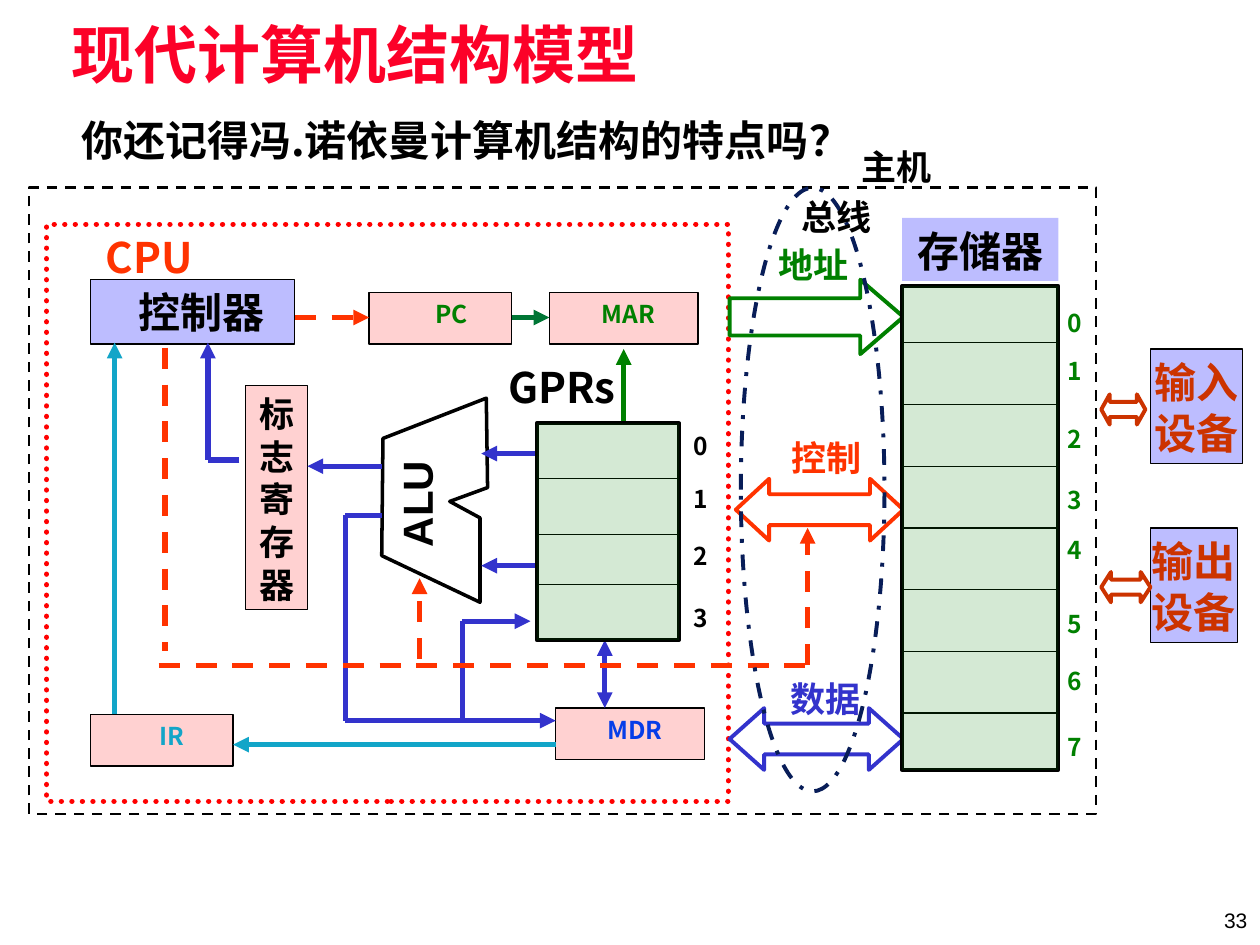
from lxml import etree
from pptx import Presentation
from pptx.dml.color import RGBColor
from pptx.enum.dml import MSO_LINE
from pptx.enum.shapes import MSO_CONNECTOR, MSO_SHAPE
from pptx.enum.text import MSO_ANCHOR, PP_ALIGN
from pptx.oxml.ns import qn
from pptx.util import Inches, Pt

RECTANGLE, ELLIPSE = MSO_SHAPE.RECTANGLE, MSO_SHAPE.OVAL
RIGHT_ARROW, DOUBLE_ARROW = MSO_SHAPE.RIGHT_ARROW, MSO_SHAPE.LEFT_RIGHT_ARROW
STRAIGHT = MSO_CONNECTOR.STRAIGHT
DASH, DOTS, DASH_DOT = MSO_LINE.DASH, MSO_LINE.ROUND_DOT, MSO_LINE.DASH_DOT
LEFT, CENTER, RIGHT = PP_ALIGN.LEFT, PP_ALIGN.CENTER, PP_ALIGN.RIGHT
TOP, MIDDLE = MSO_ANCHOR.TOP, MSO_ANCHOR.MIDDLE

CJK_FONT = "Noto Sans CJK SC"
BLACK, WHITE, ORANGE, GREEN = "000000", "FFFFFF", "FF3300", "008000"
BLUE, CYAN, RUST = "3333CC", "12A5C8", "CC3300"
LILAC_TINT, PINK_TINT, GREEN_TINT = ("0000FF", 26), ("FF0000", 18), (GREEN, 17)


def color(value):
    return RGBColor.from_string(value)


def set_values(target, values):
    for name, value in values.items():
        setattr(target, name, value)


class Diagram:
    """Holds the shared text style and the slide being drawn."""

    font = {"name": CJK_FONT, "bold": True}
    line_height = 1.22

    def __init__(self, slide):
        self.slide = slide

    def fill_text(self, shape, text, size, text_color=BLACK, align=CENTER, anchor=TOP,
                  left=0, **font):
        frame = shape.text_frame
        set_values(frame, {
            "word_wrap": True, "vertical_anchor": anchor, "margin_left": Inches(left),
            "margin_right": 0, "margin_top": Inches(0.05), "margin_bottom": Inches(0.05)})
        for index, words in enumerate(text.split("\n")):
            paragraph = frame.add_paragraph() if index else frame.paragraphs[0]
            set_values(paragraph, {"alignment": align, "space_before": Pt(0),
                                   "line_spacing": Pt(round(size * self.line_height, 1))})
            run = paragraph.add_run()
            run.text = words
            set_values(run.font, {**self.font, "size": Pt(size), **font})
            run.font.color.rgb = color(text_color)
            east_asian = etree.SubElement(run.font._element, qn("a:ea"))
            east_asian.set("typeface", CJK_FONT)

    def title(self, place, text, size, text_color, **style):
        shape = self.slide.shapes.title
        set_values(shape, dict(zip(("left", "top", "width", "height"), map(Inches, place))))
        self.fill_text(shape, text, size, text_color, **style)

    def label(self, place, text, size, text_color=BLACK, rotation=0, **style):
        box = self.slide.shapes.add_textbox(*map(Inches, place))
        box.rotation = rotation
        self.fill_text(box, text, size, text_color, **style)

    def outline(self, shape, line_color, width, dash=None):
        shape.line.color.rgb = color(line_color)
        set_values(shape.line, {"width": Pt(width), "dash_style": dash})

    def shape(self, kind, place, fill=None, line=None, adjustments=()):
        """Fill is a hex colour or a (hex colour, opacity percent) pair."""
        shape = self.slide.shapes.add_shape(kind, *map(Inches, place))
        shape.shadow.inherit = False
        for index, value in enumerate(adjustments):
            shape.adjustments[index] = value
        if fill:
            hex_value, opacity = fill if isinstance(fill, tuple) else (fill, 100)
            shape.fill.solid()
            shape.fill.fore_color.rgb = color(hex_value)
            if opacity < 100:
                solid = shape._element.spPr.find(qn("a:solidFill"))
                etree.SubElement(solid[0], qn("a:alpha")).set("val", str(opacity * 1000))
        else:
            shape.fill.background()
        if line:
            self.outline(shape, *line)
        else:
            shape.line.fill.background()
        return shape

    def unit(self, place, text, size, text_color=BLACK, fill=PINK_TINT, line=(BLACK, 0.75),
             **style):
        """Draw a tinted box with centred text."""
        self.fill_text(self.shape(RECTANGLE, place, fill, line), text, size, text_color, **style)

    def connector(self, start, end, line_color, width=3, dash=None, ends=("tailEnd",)):
        points = map(Inches, (*start, *end))
        line = self.slide.shapes.add_connector(STRAIGHT, *points)
        self.outline(line, line_color, width, dash)
        properties = line._element.spPr
        for end_name in ends:
            arrowhead = etree.SubElement(properties.find(qn("a:ln")), qn(f"a:{end_name}"))
            arrowhead.set("type", "triangle")
        etree.SubElement(properties, qn("a:effectLst"))

    def route(self, points, line_color, dash=None):
        """Join points by straight lines, with an arrowhead on the last."""
        for index, (start, end) in enumerate(zip(points, points[1:]), 2):
            ends = ("tailEnd",) if index == len(points) else ()
            self.connector(start, end, line_color, dash=dash, ends=ends)

    def polygon(self, points, line):
        corners = [(Inches(x), Inches(y)) for x, y in points]
        builder = self.slide.shapes.build_freeform(*corners[0])
        builder.add_line_segments(corners[1:], close=True)
        shape = builder.convert_to_shape()
        shape.shadow.inherit = False
        shape.fill.background()
        self.outline(shape, *line)

    def cell_stack(self, place, dividers, number_left, number_tops, number_color):
        """Draw a column of storage cells, numbered on its right."""
        left, _, width, _ = place
        self.shape(RECTANGLE, place, WHITE, (BLACK, 2.25))
        for y in dividers:
            self.connector((left, y), (left + width, y), BLACK, 0.75, ends=())
        for number, top in enumerate(number_tops):
            self.label((number_left, top, 0.34, 0.4), str(number), 14, number_color)
        self.shape(RECTANGLE, place, GREEN_TINT)


def draw_cpu(diagram):
    boundary = diagram.shape(RECTANGLE, (0.37, 1.78, 5.41, 4.58), line=("FF0000", 3, DOTS))
    boundary._element.spPr.find(qn("a:ln")).set("cap", "rnd")
    diagram.label((0.72, 1.78, 0.93, 0.5), "CPU", 24, ORANGE)
    diagram.unit((0.72, 2.22, 1.62, 0.51), "控制器", 24, fill=LILAC_TINT, left=0.14)
    diagram.unit((1.95, 3.06, 0.49, 1.78), "标\n志\n寄\n存\n器", 20)
    for place, name, text_color, left in (
            ((2.93, 2.32, 1.13, 0.41), "PC", GREEN, 0.18),
            ((4.36, 2.32, 1.18, 0.41), "MAR", GREEN, 0.08),
            ((4.41, 5.62, 1.18, 0.41), "MDR", "063DE8", 0.08),
            ((0.72, 5.67, 1.13, 0.41), "IR", CYAN, 0.16)):
        diagram.unit(place, name, 14, text_color, left=left)

    diagram.polygon([(3.86, 3.16), (3.04, 3.48), (3.03, 4.41), (3.81, 4.78),
                     (3.81, 4.11), (3.57, 3.98), (3.87, 3.87)], (BLACK, 2))
    diagram.label((2.83, 3.77, 0.89, 0.46), "ALU", 24, rotation=270, name="Arial")


def draw_signals(diagram):
    for points, line_color in (
            ([(4.06, 2.52), (4.36, 2.52)], "007635"),
            ([(4.26, 3.6), (3.82, 3.6)], BLUE),
            ([(4.26, 4.49), (3.82, 4.49)], BLUE),
            ([(3.03, 3.7), (2.44, 3.7)], BLUE),
            ([(1.9, 3.65), (1.65, 3.65), (1.65, 2.72)], BLUE),
            ([(4.95, 3.36), (4.95, 2.77)], GREEN),
            ([(3.03, 4.09), (2.74, 4.09), (2.74, 5.72), (4.41, 5.72)], BLUE),
            ([(3.67, 5.72), (3.67, 4.93), (4.21, 4.93)], BLUE),
            ([(4.41, 5.91), (1.85, 5.91)], CYAN),
            ([(0.91, 5.67), (0.91, 2.72)], CYAN)):
        diagram.route(points, line_color)
    diagram.connector((4.8, 5.08), (4.8, 5.62), BLUE, ends=("headEnd", "tailEnd"))
    for start, end in (((1.26, 5.28), (6.43, 5.28)), ((1.31, 2.76), (1.31, 5.17))):
        diagram.connector(start, end, ORANGE, dash=DASH, ends=())
    for start, end in (((2.34, 2.52), (2.93, 2.52)), ((3.33, 5.23), (3.33, 4.59))):
        diagram.connector(start, end, ORANGE, dash=DASH)


def draw_buses(diagram):
    for kind, place, head, name, name_place, bus_color in (
            (RIGHT_ARROW, (5.79, 2.22, 1.38, 0.59), 0.58, "地址", (5.99, 1.88, 0.94, 0.43), GREEN),
            (DOUBLE_ARROW, (5.84, 3.8, 1.33, 0.49), 0.54, "控制", (6.09, 3.41, 0.94, 0.43), ORANGE),
            (DOUBLE_ARROW, (5.79, 5.62, 1.38, 0.49), 0.56, "数据", (6.13, 5.32, 0.84, 0.43), BLUE)):
        diagram.shape(kind, place, WHITE, (bus_color, 2.25), (0.5, head))
        diagram.label(name_place, name, 20, bus_color)


def draw_storage(diagram):
    diagram.label((3.82, 2.81, 1.28, 0.5), "GPRs", 24)
    diagram.cell_stack((4.26, 3.36, 1.13, 1.72), (3.8, 4.24, 4.64),
                       5.39, (3.37, 3.79, 4.24, 4.73), BLACK)
    diagram.unit((7.16, 1.73, 1.24, 0.5), "存储器", 24, fill=LILAC_TINT, line=None)
    dividers = [round(2.72 + 0.49 * row, 2) for row in range(7)]
    diagram.cell_stack((7.16, 2.27, 1.24, 3.84), dividers,
                       8.36, (2.39, 2.77, 3.31, 3.8, 4.19, 4.78, 5.23, 5.76), GREEN)


def draw_devices(diagram):
    for name, top, width, arrow_top, arrow_width, head in (
            ("输入\n设备", 2.77, 0.73, 3.13, 0.35, 0.28),
            ("输出\n设备", 4.19, 0.69, 4.54, 0.39, 0.32)):
        diagram.unit((9.13, top, width, 0.91), name, 24, RUST, LILAC_TINT)
        diagram.shape(DOUBLE_ARROW, (8.74, arrow_top, arrow_width, 0.24), WHITE,
                      (RUST, 2.25), (0.5, head))


def main():
    presentation = Presentation()
    presentation.slide_width, presentation.slide_height = Inches(10), Inches(7.5)
    diagram = Diagram(presentation.slides.add_slide(presentation.slide_layouts[5]))
    diagram.title((0.5, 0.11, 9, 0.61), "现代计算机结构模型", 36, "FC0128",
                  align=LEFT, anchor=MIDDLE, left=0.07, name="Arial")
    diagram.label((0.23, 0.85, 6.94, 0.5), "你还记得冯.诺依曼计算机结构的特点吗？", 24)
    draw_cpu(diagram)
    draw_signals(diagram)
    draw_buses(diagram)
    draw_storage(diagram)
    draw_devices(diagram)
    diagram.shape(RECTANGLE, (0.23, 1.49, 8.47, 4.97), line=(BLACK, 1.5, DASH))
    diagram.connector((6.41, 5.28), (6.41, 4.19), ORANGE, dash=DASH)
    diagram.shape(ELLIPSE, (5.88, 1.49, 1.14, 4.79), line=("081D58", 2.25, DASH_DOT))
    for place, name in (((6.26, 1.5, 0.83, 0.44), "总线"), ((6.74, 1.1, 0.84, 0.44), "主机")):
        diagram.label(place, name, 20, align=LEFT, left=0.1, name="Times New Roman")
    diagram.label((7.75, 7.1, 2.15, 0.4), "33", 12, align=RIGHT, anchor=MIDDLE,
                  name="Arial", bold=False)
    presentation.save("out.pptx")


if __name__ == "__main__":
    main()
